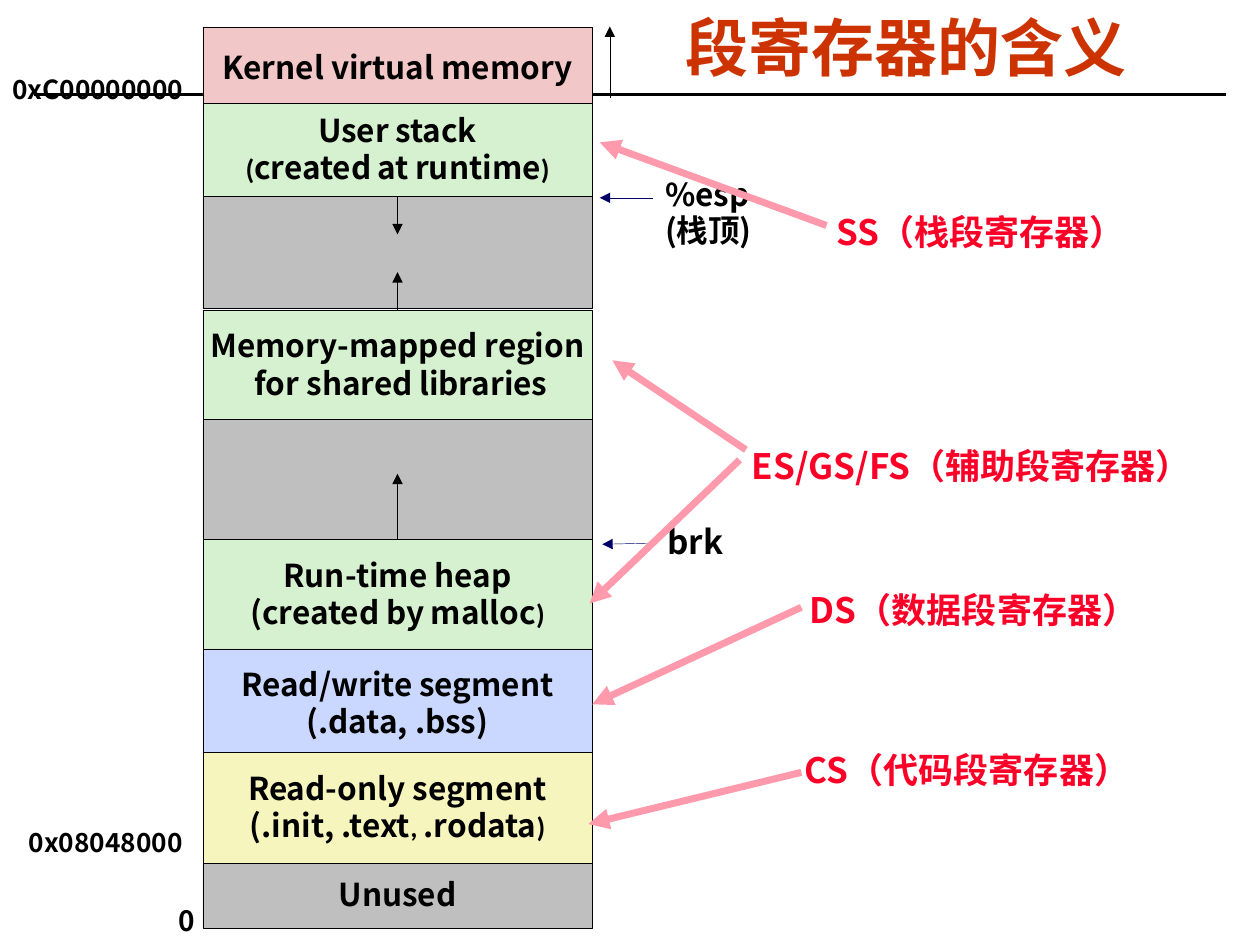
import pptx
import pptx.util
import pptx.dml.color
import pptx.enum.shapes
import pptx.enum.text
import pptx.oxml.ns
from lxml import etree

Inches, Pt = pptx.util.Inches, pptx.util.Pt
ALIGN = pptx.enum.text.PP_ALIGN
ANCHOR = pptx.enum.text.MSO_ANCHOR
AUTO = pptx.enum.text.MSO_AUTO_SIZE
qn = pptx.oxml.ns.qn

COLORS = {
    "title": "CC3300", "text": "000000", "register": "FC0128",
    "pointer": "FE9AAB", "marker": "000066", "kernel": "F1C7C7",
    "region": "D5F1CF", "gap": "BFBFBF", "data": "CAD7FE", "code": "F6F5BD",
}
FONT, THIN_FONT = "Noto Sans CJK SC", "Calibri"
COLUMN_LEFT, COLUMN_WIDTH = 1.61, 3.09


def rgb(name):
    return pptx.dml.color.RGBColor.from_string(COLORS[name])


class MemorySlide:
    def __init__(self, prs):
        self.s = prs.slides.add_slide(prs.slide_layouts[5])

    def style(self, r, size, color="text", font=FONT):
        r.font.size, r.font.bold, r.font.name = Pt(size), True, font
        r.font.color.rgb = rgb(color)
        latin = r.font._element.find(qn("a:latin"))
        ea = etree.Element(qn("a:ea"), typeface=FONT)
        latin.addnext(ea)

    def fill_text(self, tf, text, size, color="text", spacing=None, align=ALIGN.LEFT):
        """Fill a frame line by line; parts between bars get the thin font."""
        for i, line in enumerate(text.split("\n")):
            p = tf.paragraphs[0] if i == 0 else tf.add_paragraph()
            p.alignment = align
            if spacing:
                p.line_spacing = spacing
            for j, part in enumerate(line.split("|")):
                if part:
                    r = p.add_run()
                    r.text = part
                    if j % 2:
                        self.style(r, 16, color, THIN_FONT)
                    else:
                        self.style(r, size, color)

    def title(self, text, left, top, width, height):
        sp = self.s.shapes.title
        sp.left, sp.top = Inches(left), Inches(top)
        sp.width, sp.height = Inches(width), Inches(height)
        tf = sp.text_frame
        tf.text = text
        tf.auto_size, tf.vertical_anchor = AUTO.SHAPE_TO_FIT_TEXT, ANCHOR.TOP
        tf.margin_left = tf.margin_right = Inches(0.07)
        tf.margin_top = tf.margin_bottom = Inches(0.03)
        p = tf.paragraphs[0]
        p.alignment, p.line_spacing = ALIGN.LEFT, 0.87
        self.style(p.runs[0], 36, "title", "Arial")

    def label(self, text, left, top, width, height, size,
              color="text", spacing=None, wrap=False):
        sp = self.s.shapes.add_textbox(
            Inches(left), Inches(top), Inches(width), Inches(height))
        tf = sp.text_frame
        tf.word_wrap, tf.auto_size = wrap, AUTO.SHAPE_TO_FIT_TEXT
        self.fill_text(tf, text, size, color, spacing)

    def block(self, text, top, height, fill):
        sp = self.s.shapes.add_shape(
            pptx.enum.shapes.MSO_SHAPE.RECTANGLE, Inches(COLUMN_LEFT),
            Inches(top), Inches(COLUMN_WIDTH), Inches(height))
        sp.shadow.inherit = False
        sp.fill.solid()
        sp.fill.fore_color.rgb = rgb(fill)
        sp.line.color.rgb, sp.line.width = rgb("text"), Pt(0.25)
        tf = sp.text_frame
        tf.word_wrap, tf.vertical_anchor = False, ANCHOR.MIDDLE
        self.fill_text(tf, text, 18, spacing=0.98, align=ALIGN.CENTER)
        return sp

    def line(self, x1, y1, x2, y2, color="text", width=0.25, arrow=True):
        c = self.s.shapes.add_connector(
            pptx.enum.shapes.MSO_CONNECTOR.STRAIGHT,
            Inches(x1), Inches(y1), Inches(x2), Inches(y2))
        c.line.color.rgb, c.line.width = rgb(color), Pt(width)
        if arrow:
            ln = c._element.spPr.find(qn("a:ln"))
            etree.SubElement(ln, qn("a:tailEnd"), type="triangle")
        etree.SubElement(c._element.spPr, qn("a:effectLst"))
        return c


def main():
    prs = pptx.Presentation()
    prs.slide_width, prs.slide_height = Inches(10), Inches(7.5)
    m = MemorySlide(prs)

    m.line(0.27, 0.75, 9.73, 0.75, width=1.5, arrow=False)
    m.title("段寄存器的含义", 5.37, 0.12, 4.19, 0.58)

    m.label("%esp\n(栈顶)", 5.18, 1.36, 1.03, 0.68, 18, spacing=0.96, wrap=True)
    for text, left, top, width, height, size in (
        ("brk", 5.2, 4.11, 0.64, 0.4, 19),
        ("0xC00000000", 0, 0.55, 1.62, 0.33, 15),
        ("0x08048000", 0.13, 6.53, 1.48, 0.34, 15),
        ("0", 1.32, 7.14, 0.33, 0.36, 16),
    ):
        m.label(text, left, top, width, height, size, spacing=0.94)

    m.block("Kernel virtual memory", 0.22, 0.64, "kernel")
    m.block("", 1.26, 1.19, "gap")
    stack = m.block("User| |stack\n|(|created| |at| |runtime|)", 0.82, 0.74, "region")
    shared = m.block("Memory-mapped region\n for shared| |libraries", 2.46, 0.88, "region")
    m.block("", 3.33, 0.95, "gap")
    heap = m.block("Run-time heap\n(created by| |malloc|)", 4.28, 0.88, "region")
    data = m.block("Read/write| |segment\n(.data, .bss)", 5.15, 0.88, "data")
    m.block("Read-only segment\n(.init, .text|, |.rodata|)", 5.97, 0.88, "code")
    m.block("Unused", 6.85, 0.52, "gap")

    # Growth directions and pointer markers
    middle = COLUMN_LEFT + COLUMN_WIDTH / 2
    for block, side, start, end in (
        (stack, 2, 1.56, 1.86), (shared, 0, 2.46, 2.16), (heap, 0, 4.28, 3.76),
    ):
        m.line(middle, start, middle, end).begin_connect(block, side)
    m.line(4.84, 0.78, 4.84, 0.21)
    m.line(5.18, 1.57, 4.76, 1.57, "marker")
    m.line(5.2, 4.31, 4.78, 4.32, "marker")

    for text, left, top, width in (
        ("SS（栈段寄存器）", 6.54, 1.62, 2.9),
        ("CS（代码段寄存器）", 6.29, 5.89, 2.9),
        ("DS（数据段寄存器）", 6.33, 4.62, 2.9),
        ("ES/GS/FS（辅助段寄存器）", 5.87, 3.48, 3.76),
    ):
        m.label(text, left, top, width, 0.43, 20, "register", wrap=True)

    for ends in (
        (6.56, 1.79, 4.76, 1.13), (6.36, 6.13, 4.67, 6.54),
        (5.87, 3.65, 4.68, 4.79), (5.92, 3.57, 4.86, 2.86),
    ):
        m.line(*ends, "pointer", 4)
    m.line(6.36, 4.82, 4.7, 5.59, "pointer", 4).end_connect(data, 3)

    prs.save("out.pptx")


if __name__ == "__main__":
    main()
